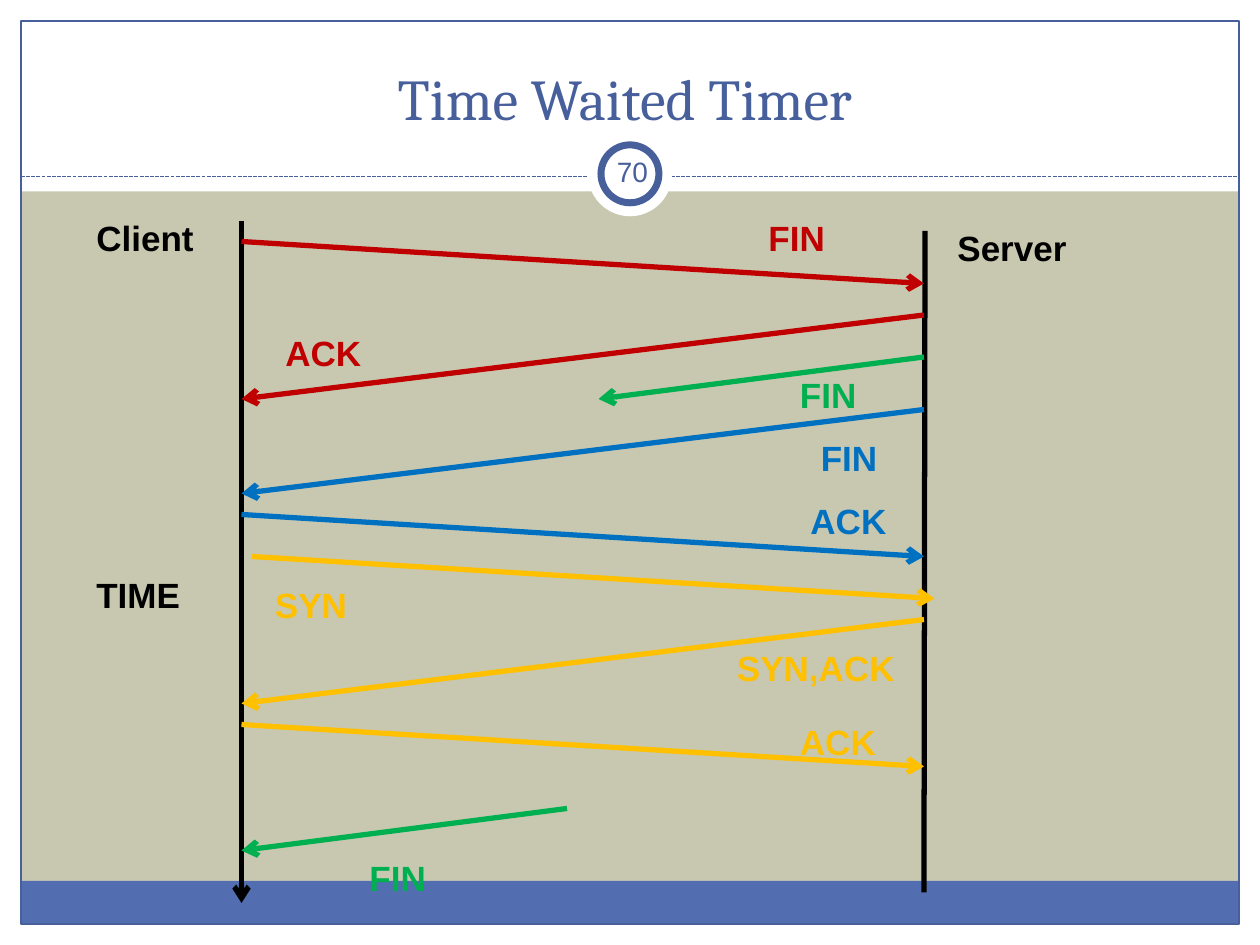
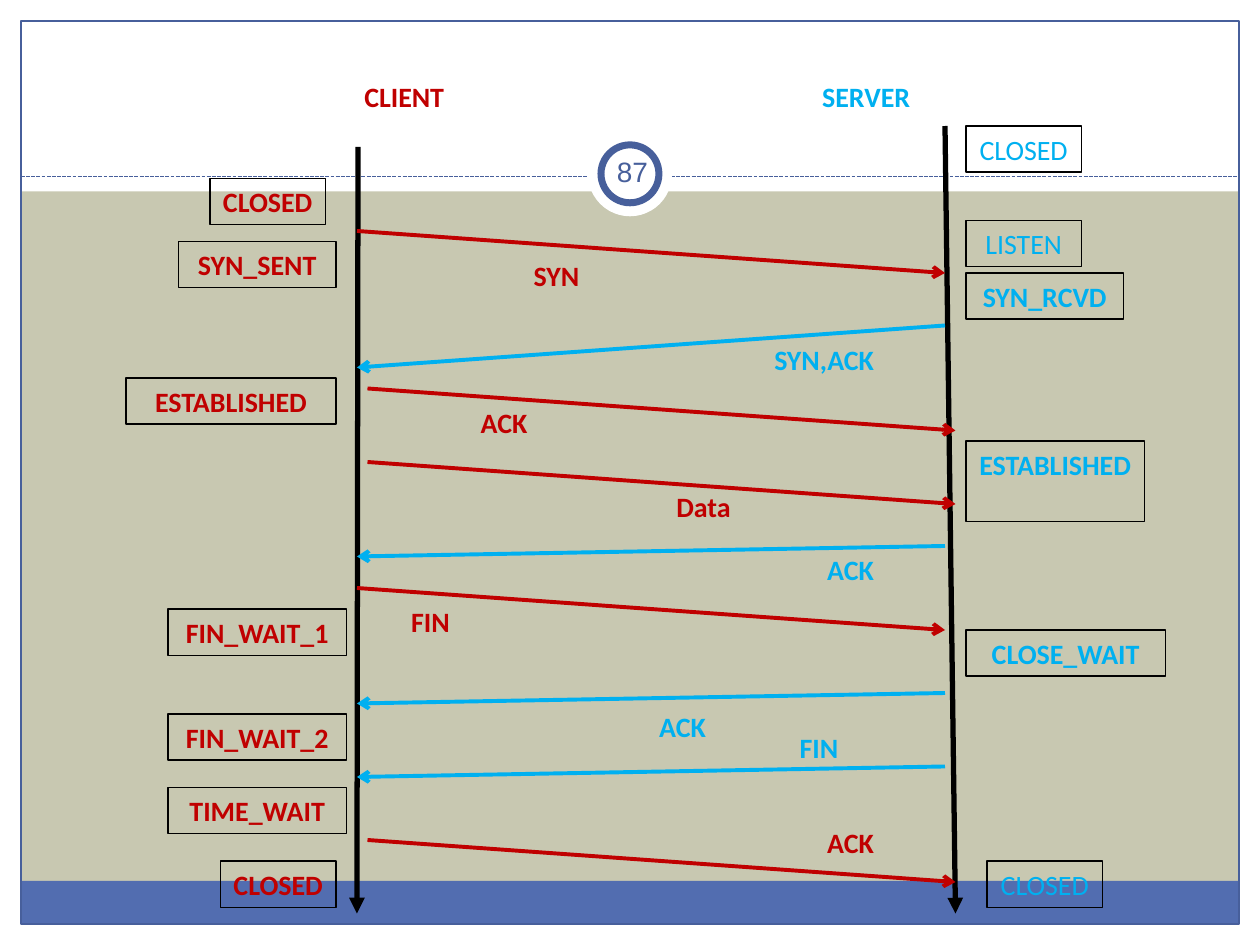
from typing import NamedTuple

from lxml.etree import SubElement
from pptx import Presentation
from pptx.dml.color import RGBColor
from pptx.enum.dml import MSO_LINE
from pptx.enum.shapes import MSO_CONNECTOR, MSO_SHAPE
from pptx.enum.text import MSO_ANCHOR, MSO_AUTO_SIZE, PP_ALIGN
from pptx.oxml.ns import qn
from pptx.util import Inches, Pt

COLUMNS, ROWS = 120, 90
SLIDE_WIDTH, SLIDE_HEIGHT = Inches(10), Inches(7.5)

COLORS = {
    "background": "C8C8B1", "white": "FFFFFF", "band": "526DB0", "accent": "475F9B",
    "black": "000000", "red": "C00000", "green": "00B050", "blue": "0070C0",
    "amber": "FFC000", "cyan": "00B0F0",
}


class Box(NamedTuple):
    """A rectangle in grid columns and rows."""
    left: float
    top: float
    width: float
    height: float


class TextStyle(NamedTuple):
    font: str
    size: float
    align: PP_ALIGN
    height: float
    bold: bool = True
    anchor: MSO_ANCHOR = MSO_ANCHOR.TOP
    inset: float = 0.1


class Label(NamedTuple):
    text: str
    color: str
    left: float
    top: float
    width: float = 10


class Arrow(NamedTuple):
    """A line between two grid points; no head means a plain line."""
    color: str
    start: tuple[float, float]
    end: tuple[float, float]
    head: str = "arrow"


class State(NamedTuple):
    """A connection state in an outlined box."""
    label: Label
    bold: bool = True
    height: float = 4.4


TITLE_STYLE = TextStyle("Cambria", 33, PP_ALIGN.CENTER, 10.2, False, MSO_ANCHOR.BOTTOM)
NUMBER_STYLE = TextStyle("Arial", 16, PP_ALIGN.CENTER, 5.76, False, MSO_ANCHOR.MIDDLE, 0.05)
TIMER_STYLE = TextStyle("Arial", 20, PP_ALIGN.LEFT, 5.3)
STATE_STYLE = TextStyle("Calibri", 16, PP_ALIGN.CENTER, 4.4)

TITLE_BOX = Box(8, 3, 103, 10.2)

# Timer slide: client lifeline at column 23, server at column 88
TIMER_ARROWS = [
    Arrow("black", (23, 21), (23, 86)),
    Arrow("black", (88.1, 22), (88, 85), ""),
    Arrow("red", (23, 23), (88, 27)),
    Arrow("red", (88, 30), (23, 38)),
    Arrow("green", (88, 34), (57, 38)),
    Arrow("blue", (88, 39), (23, 47)),
    Arrow("blue", (23, 49), (88, 53)),
    Arrow("amber", (24, 53), (89, 57)),
    Arrow("amber", (88, 59), (23, 67)),
    Arrow("amber", (23, 69), (88, 73)),
    Arrow("green", (54, 77), (23, 81)),
]
TIMER_LABELS = [
    Label("Client", "black", 8, 20, 12),
    Label("Server", "black", 90, 21, 14),
    Label("TIME", "black", 8, 54, 11),
    Label("FIN", "red", 72, 20),
    Label("ACK", "red", 26, 31),
    Label("FIN", "green", 75, 35),
    Label("FIN", "blue", 77, 41),
    Label("ACK", "blue", 76, 47),
    Label("SYN", "amber", 25, 55),
    Label("SYN,ACK", "amber", 69, 61, 21),
    Label("ACK", "amber", 75, 68),
    Label("FIN", "green", 34, 81),
]

# State slide: client lifeline at column 34, server at columns 90 to 91
LIFELINES = [
    Arrow("black", (34.1, 14), (34, 87), "triangle"),
    Arrow("black", (90, 12), (91, 87), "triangle"),
]
STATE_ARROWS = [
    Arrow("red", (34, 22), (90, 26)),
    Arrow("cyan", (90, 31), (34, 35)),
    Arrow("red", (35, 37), (91, 41)),
    Arrow("red", (35, 44), (91, 48)),
    Arrow("cyan", (90, 52), (34, 53)),
    Arrow("red", (34, 56), (90, 60)),
    Arrow("cyan", (90, 66), (34, 67)),
    Arrow("cyan", (90, 73), (34, 74)),
    Arrow("red", (35, 80), (91, 84)),
]
STATE_LABELS = [
    Label("CLIENT", "red", 33, 7, 11),
    Label("SERVER", "cyan", 77, 7, 11),
    Label("SYN", "red", 48, 24),
    Label("SYN,ACK", "cyan", 72, 32, 13),
    Label("ACK", "red", 43, 38),
    Label("Data", "red", 62, 46),
    Label("ACK", "cyan", 76, 52),
    Label("FIN", "red", 36, 57),
    Label("ACK", "cyan", 60, 67),
    Label("FIN", "cyan", 73, 69),
    Label("ACK", "red", 76, 78),
]
STATES = [
    State(Label("CLOSED", "red", 20, 17, 11)),
    State(Label("SYN_SENT", "red", 17, 23, 15)),
    State(Label("ESTABLISHED", "red", 12, 36, 20)),
    State(Label("FIN_WAIT_1", "red", 16, 58, 17)),
    State(Label("FIN_WAIT_2", "red", 16, 68, 17)),
    State(Label("TIME_WAIT", "red", 16, 75, 17)),
    State(Label("CLOSED", "red", 21, 82, 11)),
    State(Label("CLOSED", "cyan", 92, 12, 11), bold=False),
    State(Label("LISTEN", "cyan", 92, 21, 11), bold=False),
    State(Label("SYN_RCVD", "cyan", 92, 26, 15)),
    State(Label("ESTABLISHED", "cyan", 92, 42, 17), height=7.7),
    State(Label("CLOSE_WAIT", "cyan", 92, 60, 19)),
    State(Label("CLOSED", "cyan", 94, 82, 11), bold=False),
]


def rgb(name: str) -> RGBColor:
    return RGBColor.from_string(COLORS[name])


def across(columns: float) -> int:
    return round(SLIDE_WIDTH * columns / COLUMNS)


def down(rows: float) -> int:
    return round(SLIDE_HEIGHT * rows / ROWS)


def place(box: Box) -> tuple[int, int, int, int]:
    return across(box.left), down(box.top), across(box.width), down(box.height)


def set_all(target, values: dict) -> None:
    for name, value in values.items():
        setattr(target, name, value)


def write(shape, text: str, color: str, style: TextStyle) -> None:
    frame = shape.text_frame
    frame.text = text
    side = Inches(style.inset)
    set_all(frame, {"word_wrap": True, "auto_size": MSO_AUTO_SIZE.NONE,
                    "vertical_anchor": style.anchor,
                    "margin_left": side, "margin_right": side,
                    "margin_top": Inches(0.05), "margin_bottom": Inches(0.05)})
    paragraph = frame.paragraphs[0]
    paragraph.alignment = style.align
    font = paragraph.runs[0].font
    set_all(font, {"name": style.font, "size": Pt(style.size), "bold": style.bold})
    font.color.rgb = rgb(color)


def add_label(slide, label: Label, style: TextStyle) -> None:
    box = Box(label.left, label.top, label.width, style.height)
    write(slide.shapes.add_textbox(*place(box)), label.text, label.color, style)


def add_panel(slide, box: Box, fill: str = "", line: str = "", width: float = 0.75,
              kind: MSO_SHAPE = MSO_SHAPE.RECTANGLE):
    shape = slide.shapes.add_shape(kind, *place(box))
    shape.shadow.inherit = False
    if fill:
        shape.fill.solid()
        shape.fill.fore_color.rgb = rgb(fill)
    else:
        shape.fill.background()
    if line:
        shape.line.color.rgb = rgb(line)
        shape.line.width = Pt(width)
    else:
        shape.line.fill.background()
    return shape


def add_line(slide, arrow: Arrow, width: float):
    (start_x, start_y), (end_x, end_y) = arrow.start, arrow.end
    connector = slide.shapes.add_connector(
        MSO_CONNECTOR.STRAIGHT, across(start_x), down(start_y), across(end_x), down(end_y))
    connector.line.color.rgb = rgb(arrow.color)
    connector.line.width = Pt(width)
    properties = connector.element.spPr
    if arrow.head:
        SubElement(properties.find(qn("a:ln")), qn("a:tailEnd"), type=arrow.head)
    SubElement(properties, qn("a:effectLst"))
    return connector


def add_state(slide, state: State) -> None:
    label = state.label
    box = Box(label.left, label.top, label.width, state.height)
    shape = add_panel(slide, box, line="black")
    write(shape, label.text, label.color, STATE_STYLE._replace(bold=state.bold))


def build_master(presentation, slide) -> None:
    """Draw the shared frame on a slide, then move it to the slide master."""
    master = presentation.slide_master
    master.background.fill.solid()
    master.background.fill.fore_color.rgb = rgb("background")
    frame = [add_panel(slide, box, "white") for box in (
        Box(0, 88, COLUMNS, 2), Box(0, 0, COLUMNS, 18.24),
        Box(0, 0, 2, ROWS), Box(118, 0, 2, ROWS))]
    frame.append(add_panel(slide, Box(2, 83.9, 116, 4.1), "band"))
    frame.append(add_panel(slide, Box(2, 2, 116, 86), line="accent"))
    rule = add_line(slide, Arrow("accent", (2, 16.8), (118, 16.8), ""), 0.75)
    rule.line.dash_style = MSO_LINE.SQUARE_DOT
    frame.append(rule)
    frame.append(add_panel(slide, Box(56, 12.6, 8, 8), "white", kind=MSO_SHAPE.OVAL))
    frame.append(add_panel(slide, Box(57.24, 13.8, 5.52, 5.52), "white", "accent", 4,
                           MSO_SHAPE.OVAL))
    for number, shape in enumerate(frame, start=100):
        shape.element.xpath(".//p:cNvPr")[0].set("id", str(number))
        master.shapes.element.append(shape.element)


def add_page_number(slide, number: int) -> None:
    add_label(slide, Label(str(number), "accent", 57.24, 13.44, 6), NUMBER_STYLE)


def build_timer_slide(slide) -> None:
    title = slide.shapes.title
    set_all(title, dict(zip(("left", "top", "width", "height"), place(TITLE_BOX))))
    write(title, "Time Waited Timer", "accent", TITLE_STYLE)
    for arrow in TIMER_ARROWS:
        add_line(slide, arrow, 3)
    for label in TIMER_LABELS:
        add_label(slide, label, TIMER_STYLE)
    add_page_number(slide, 70)


def build_state_slide(slide) -> None:
    for arrow in LIFELINES:
        add_line(slide, arrow, 3)
    for arrow in STATE_ARROWS:
        add_line(slide, arrow, 2.25)
    for state in STATES:
        add_state(slide, state)
    for label in STATE_LABELS:
        add_label(slide, label, STATE_STYLE)
    add_page_number(slide, 87)


def main() -> None:
    presentation = Presentation()
    set_all(presentation, {"slide_width": SLIDE_WIDTH, "slide_height": SLIDE_HEIGHT})
    title_only, blank = presentation.slide_layouts[5], presentation.slide_layouts[6]
    timer_slide = presentation.slides.add_slide(title_only)
    build_master(presentation, timer_slide)
    build_timer_slide(timer_slide)
    build_state_slide(presentation.slides.add_slide(blank))
    presentation.save("out.pptx")


if __name__ == "__main__":
    main()
